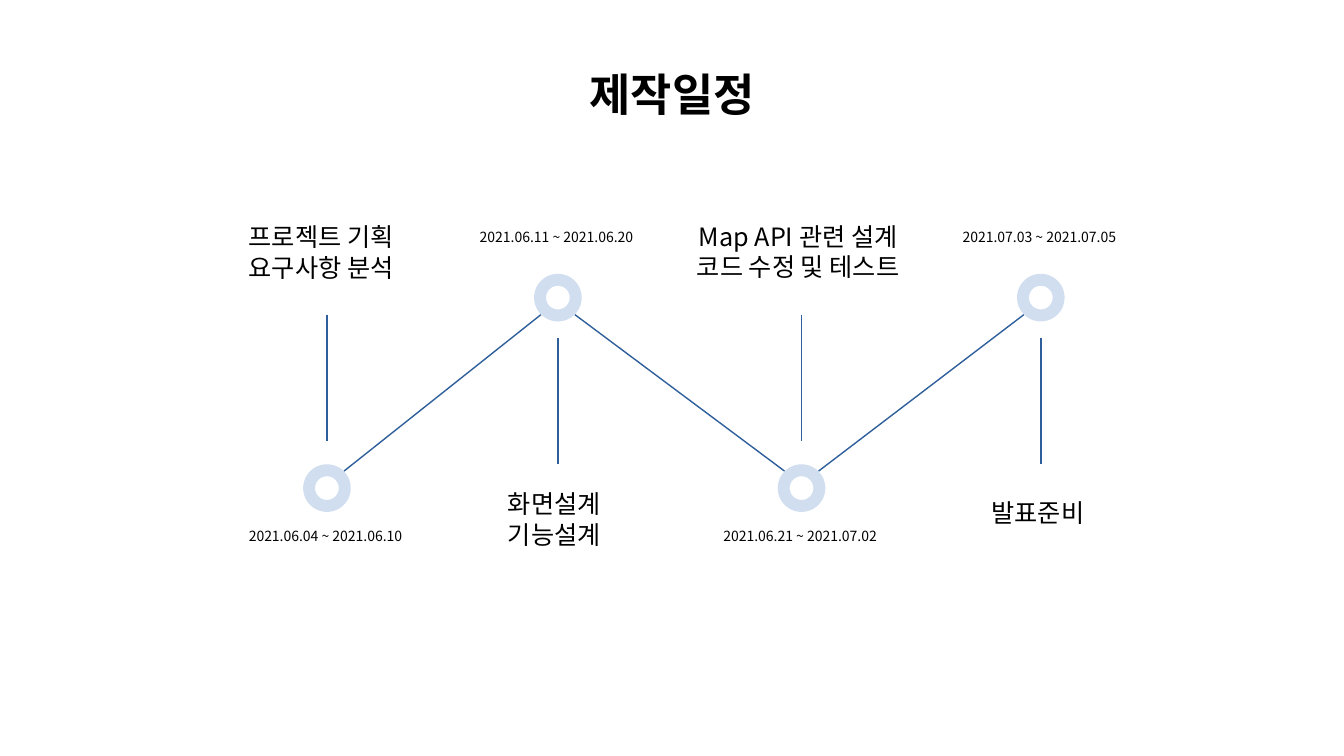
from lxml.etree import SubElement
from pptx import Presentation
from pptx.dml.color import RGBColor
from pptx.enum.shapes import MSO_CONNECTOR, MSO_SHAPE
from pptx.enum.text import MSO_ANCHOR, MSO_AUTO_SIZE, PP_ALIGN
from pptx.oxml import parse_xml
from pptx.oxml.ns import nsdecls, qn
from pptx.util import Cm, Pt

BLACK = RGBColor(0, 0, 0)
BLUE = RGBColor(0x2E, 0x5F, 0x9A)
PALE = RGBColor(0xD0, 0xDE, 0xF0)
FONT = "Noto Sans CJK KR"

deck = Presentation()
deck.slide_width, deck.slide_height = Cm(33.87), Cm(19.05)
slide = deck.slides.add_slide(deck.slide_layouts[5])
shapes = slide.shapes


def write(text, x, y, w, h, size, align=PP_ALIGN.LEFT, bold=False, box=None):
    """Fill the given box, or a new text box, with one paragraph per line."""
    fresh = box is None
    if fresh:
        box = shapes.add_textbox(Cm(x), Cm(y), Cm(w), Cm(h))
    box.left, box.top, box.width, box.height = Cm(x), Cm(y), Cm(w), Cm(h)
    frame = box.text_frame
    frame.text = text
    frame.word_wrap = not fresh
    frame.auto_size = MSO_AUTO_SIZE.SHAPE_TO_FIT_TEXT if fresh else MSO_AUTO_SIZE.NONE
    for para in frame.paragraphs:
        para.alignment = align
        for run in para.runs:
            font = run.font
            font.name, font.size, font.bold = FONT, Pt(size), bold
            font.color.rgb = BLACK
            SubElement(run._r.get_or_add_rPr(), qn("a:ea"), typeface=FONT)
    return frame


def draw(x1, y1, x2, y2):
    line = shapes.add_connector(MSO_CONNECTOR.STRAIGHT, Cm(x1), Cm(y1), Cm(x2), Cm(y2))
    line.line.color.rgb = BLUE
    line.line.width = Pt(1)
    SubElement(line._element.spPr, qn("a:effectLst"))


title = write("제작일정", 1.7, 0.76, 30.48, 3.18, 32, PP_ALIGN.CENTER, True, shapes.title)
title.vertical_anchor = MSO_ANCHOR.MIDDLE
outline = parse_xml(
    f'<a:ln {nsdecls("a")} w="9525"><a:solidFill><a:srgbClr val="FFFFFF"/></a:solidFill></a:ln>'
)
title.paragraphs[0].runs[0]._r.get_or_add_rPr().insert(0, outline)

# Centre of ring, upper row or not, label, its place and size, its alignment, dates
LEFT, MID = PP_ALIGN.LEFT, PP_ALIGN.CENTER
steps = [
    (8.24, False, "프로젝트 기획\n요구사항 분석", (6.02, 5.46, 4.42, 1.8), LEFT,
     "2021.06.04 ~ 2021.06.10"),
    (14.06, True, "화면설계\n기능설계", (12.55, 12.19, 3, 1.8), LEFT,
     "2021.06.11 ~ 2021.06.20"),
    (20.2, False, "Map API 관련 설계\n코드 수정 및 테스트", (17.09, 5.44, 6.05, 1.8), MID,
     "2021.06.21 ~ 2021.07.02"),
    (26.23, True, "발표준비", (24.74, 12.4, 3, 0.99), LEFT,
     "2021.07.03 ~ 2021.07.05"),
]
HIGH, LOW = 7.5, 12.3
RING, EDGE, STEM = 1.2, 0.43, 3.18

for x, upper, label, place, align, dates in steps:
    y = HIGH if upper else LOW
    ring = shapes.add_shape(
        MSO_SHAPE.DONUT, Cm(x - RING / 2), Cm(y - RING / 2), Cm(RING), Cm(RING)
    )
    ring.shadow.inherit = False
    ring.fill.solid()
    ring.fill.fore_color.rgb = PALE
    ring.line.fill.background()

    top = 8.52 if upper else 7.93
    draw(x, top, x, top + STEM)
    write(label, *place, 18, align)
    write(dates, x - 2.22, 5.64 if upper else 13.17, 4.4, 0.68, 10)

for (x1, rise, *_), (x2, *_) in zip(steps, steps[1:]):
    y1, y2 = (HIGH + EDGE, LOW - EDGE) if rise else (LOW - EDGE, HIGH + EDGE)
    draw(x1 + EDGE, y1, x2 - EDGE, y2)

deck.save("out.pptx")
